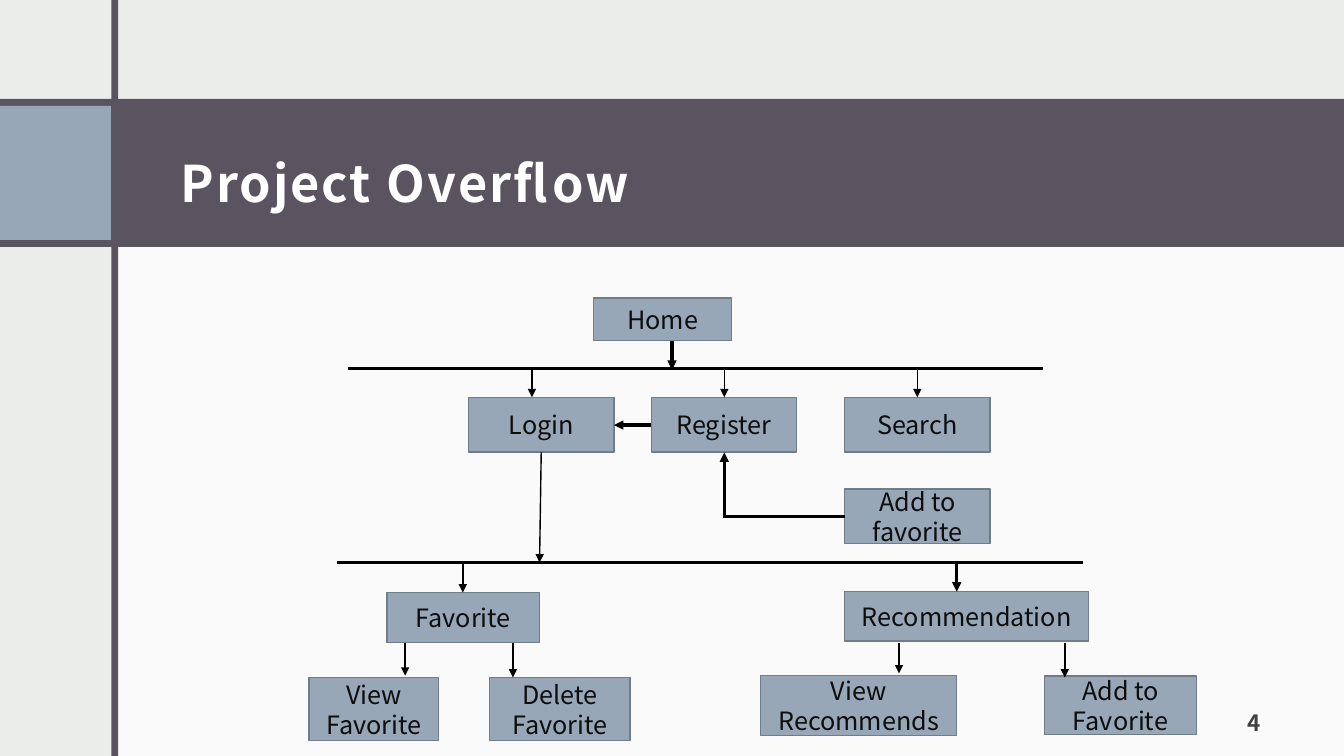
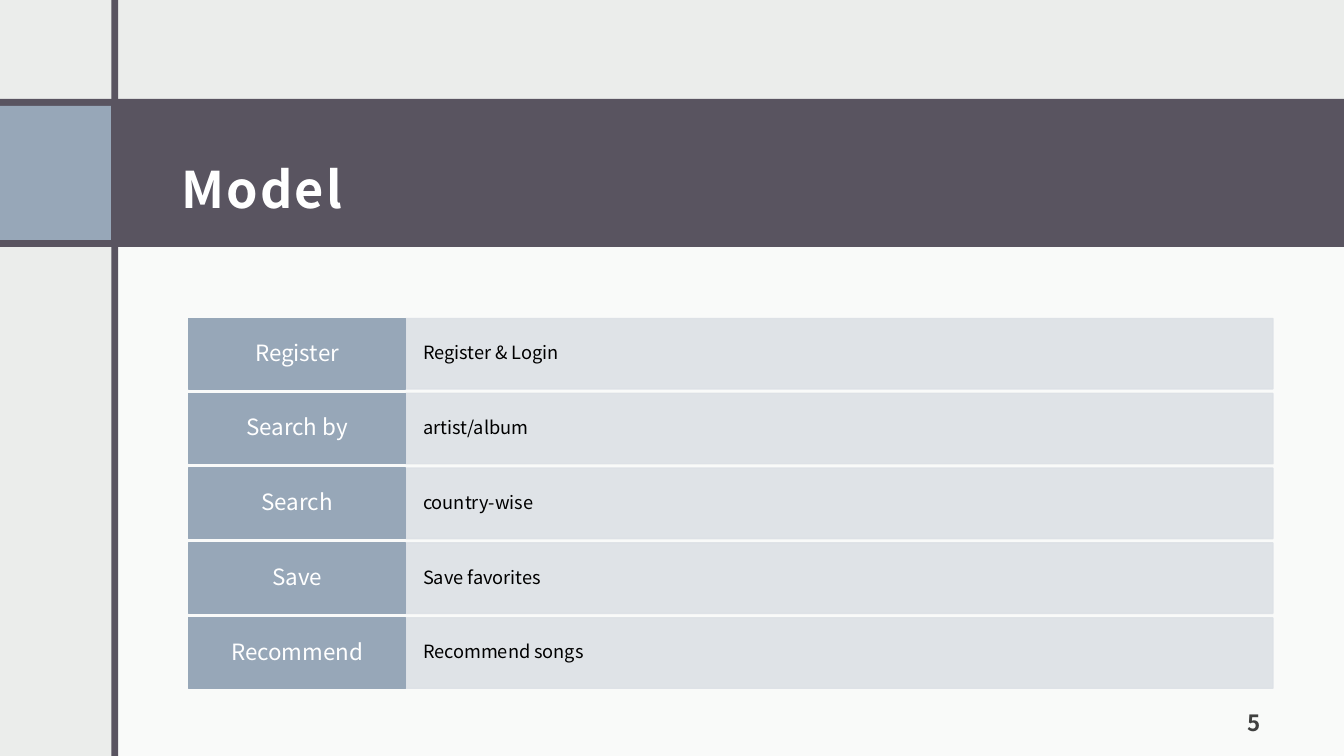
from dataclasses import dataclass

import pptx
import pptx.dml.color
import pptx.enum.shapes
import pptx.enum.text
import pptx.oxml
import pptx.oxml.ns
import pptx.util
from lxml import etree

Pt = pptx.util.Pt
qn = pptx.oxml.ns.qn
ALIGN = pptx.enum.text.PP_ALIGN
ANCHOR = pptx.enum.text.MSO_ANCHOR


@dataclass(frozen=True)
class Theme:
    """Colours, font and type sizes of the presentation."""
    font: str = "Noto Sans CJK JP"
    page: str = "EBEDEB"
    white: str = "FFFFFF"
    band: str = "595460"
    accent: str = "97A7B8"
    outline: str = "707C88"
    pale: str = "DDE1E6"
    node_ink: str = "0D0D0D"
    number_ink: str = "404040"
    black: str = "000000"
    title_size: float = 36
    node_size: float = 18
    label_size: float = 16
    detail_size: float = 13
    tracking: float = 1.5


def rgb(value):
    """Turn a hex string into a colour."""
    return pptx.dml.color.RGBColor.from_string(value)


class Deck:
    """Holds the theme and the current slide, and draws elements on it."""

    def __init__(self, theme):
        """Start an empty widescreen presentation."""
        self.theme = theme
        self.presentation = pptx.Presentation()
        self.presentation.slide_width = Pt(960)
        self.presentation.slide_height = Pt(540)
        self.slide = None

    def start_slide(self, title, number, left, top):
        """Add a slide with its bands, title and page number."""
        theme = self.theme
        self.slide = self.presentation.slides.add_slide(
            self.presentation.slide_layouts[6])
        background = self.slide.background.fill
        background.solid()
        background.fore_color.rgb = rgb(theme.page)
        self.box((82, 168, 878, 372), theme.white, opacity=75)
        self.box((0, 70.6, 960, 105.8), theme.band)
        self.box((0, 75.6, 79.2, 95.8), theme.accent)
        self.box((79.5, 0, 5, 540), theme.band)
        self.heading(title, (left, top, 788.4, 81.4), theme.title_size,
                     theme.white, ANCHOR.MIDDLE, ALIGN.LEFT, spacing=1.5)
        self.heading(str(number), (832.3, 496.8, 77, 36), theme.label_size,
                     theme.number_ink, ANCHOR.BOTTOM, ALIGN.RIGHT)

    def box(self, place, fill, outline=None, opacity=100):
        """Draw a rectangle, optionally outlined or translucent."""
        shape = self.slide.shapes.add_shape(
            pptx.enum.shapes.MSO_SHAPE.RECTANGLE, *map(Pt, place))
        shape.shadow.inherit = False
        shape.fill.solid()
        shape.fill.fore_color.rgb = rgb(fill)
        if outline:
            shape.line.color.rgb = rgb(outline)
            shape.line.width = Pt(1)
        else:
            shape.line.fill.background()
        if opacity < 100:
            for colour in shape._element.spPr.iter(qn("a:srgbClr")):
                etree.SubElement(colour, qn("a:alpha"), val=str(opacity * 1000))
        return shape

    def caption(self, shape, text, size, colour, align=ALIGN.CENTER,
                anchor=ANCHOR.MIDDLE, spacing=None, inset=(7.2, 3.6)):
        """Set one styled paragraph in a shape and return its run."""
        frame = shape.text_frame
        frame.text = text
        frame.word_wrap = True
        frame.vertical_anchor = anchor
        frame.margin_left = frame.margin_right = Pt(inset[0])
        frame.margin_top = frame.margin_bottom = Pt(inset[1])
        paragraph = frame.paragraphs[0]
        paragraph.alignment = align
        paragraph.line_spacing = spacing
        run = paragraph.runs[0]
        run.font.name = self.theme.font
        run.font.size = Pt(size)
        run.font.color.rgb = rgb(colour)
        return run

    def heading(self, text, place, size, colour, anchor, align, spacing=None):
        """Add bold, letter-spaced text in a text box."""
        holder = self.slide.shapes.add_textbox(*map(Pt, place))
        run = self.caption(holder, text, size, colour, align, anchor, spacing,
                           inset=(8.64, 8.64))
        holder.text_frame.margin_bottom = Pt(7.2)
        run.font.bold = True
        run._r.get_or_add_rPr().set("spc", str(int(self.theme.tracking * 100)))

    def node(self, text, place):
        """Draw a labelled box of the flow diagram."""
        theme = self.theme
        shape = self.box(place, theme.accent, theme.outline)
        self.caption(shape, text, theme.node_size, theme.node_ink)

    def line(self, start, end, width, arrow=True):
        """Draw a straight line, with an arrowhead at its end by default."""
        connector = self.slide.shapes.add_connector(
            pptx.enum.shapes.MSO_CONNECTOR.STRAIGHT,
            *map(Pt, (*start, *end)))
        connector.line.color.rgb = rgb(self.theme.black)
        connector.line.width = Pt(width)
        properties = connector._element.spPr
        if arrow:
            etree.SubElement(properties.find(qn("a:ln")), qn("a:tailEnd"),
                             type="triangle")
        etree.SubElement(properties, qn("a:effectLst"))

    def feature_row(self, label, detail, top):
        """Draw a label box and the pale detail box beside it."""
        theme = self.theme
        height = 50.4
        detail_box = self.box((290, top, 619.2, height), theme.pale,
                              theme.pale, opacity=90)
        self.caption(detail_box, detail, theme.detail_size, theme.black,
                     ALIGN.LEFT, spacing=0.9, inset=(12.24, 12.96))
        label_box = self.box((134.8, top, 155, height), theme.accent,
                             theme.accent)
        self.caption(label_box, label, theme.label_size, theme.white,
                     spacing=0.9, inset=(7.9, 5))


def build_overflow(deck):
    """Build the project flow diagram."""
    deck.start_slide("Project Overflow", 4, 120.2, 77.8)
    nodes = [
        ("Home", (424, 213, 98.6, 30.4)),
        ("Login", (334.8, 283.8, 103.8, 39)),
        ("Register", (465.2, 283.8, 103.8, 39)),
        ("Search", (603.4, 283.8, 103.8, 39)),
        ("Add to favorite", (603.4, 349.2, 103.8, 39)),
        ("Favorite", (276.4, 423.2, 109.2, 35.6)),
        ("Recommendation", (603.4, 422.6, 174.2, 35.2)),
        ("View Favorite", (220.8, 484, 92.6, 45)),
        ("Delete Favorite", (349.8, 484, 100.2, 45)),
        ("View Recommends", (543.4, 482.6, 140, 43)),
        ("Add to Favorite", (746, 482.8, 108.8, 41.8)),
    ]
    for text, place in nodes:
        deck.node(text, place)

    page_level, account_level = 263.4, 401.8
    deck.line((248.4, page_level), (745.2, page_level), 2.25, arrow=False)
    deck.line((240.6, account_level), (773.4, account_level), 1.5, arrow=False)

    drops = [
        (480, 243.4, 264.2, 2.25),
        (380, page_level, 283.8, 1),
        (517.4, page_level, 283.8, 1),
        (655.2, page_level, 283.8, 1),
        (330.6, 403.2, 423.2, 1.5),
        (683.4, account_level, 422.6, 2.25),
        (289.4, 459.4, 482.6, 1.5),
        (366.4, 459.4, 484, 1.5),
        (642.2, 459.4, 481, 1.5),
        (760.6, 459.4, 484, 1.5),
    ]
    for x, top, bottom, width in drops:
        deck.line((x, top), (x, bottom), width)

    deck.line((465.2, 303.6), (438.6, 303.6), 2.25)
    deck.line((603.4, 368.8), (517.4, 368.8), 2.25, arrow=False)
    deck.line((517.4, 370), (517.4, 323.2), 2.25)
    deck.line((386.6, 323.2), (385.4, account_level), 1)


def build_model(deck):
    """Build the list of model features."""
    deck.start_slide("Model", 5, 121, 82.1)
    features = [
        ("Register", "Register & Login"),
        ("Search by", "artist/album"),
        ("Search", "country-wise"),
        ("Save", "Save favorites"),
        ("Recommend", "Recommend songs"),
    ]
    first_top, pitch = 227.5, 53.45
    for index, (label, detail) in enumerate(features):
        deck.feature_row(label, detail, first_top + index * pitch)


def main():
    """Build both slides and save them."""
    deck = Deck(Theme())
    build_overflow(deck)
    build_model(deck)
    deck.presentation.save("out.pptx")


main()
